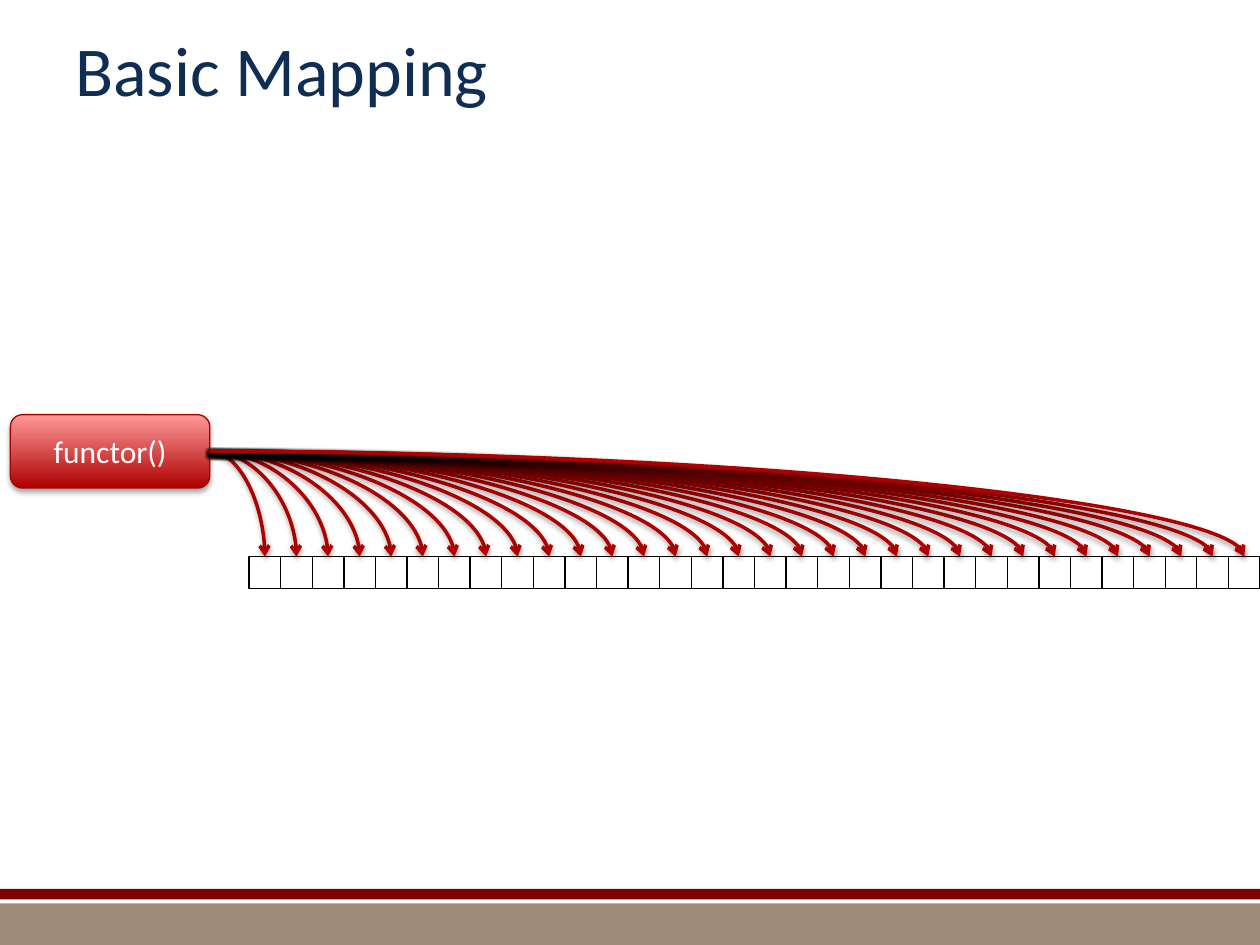
from lxml import etree
from pptx import Presentation
from pptx.dml.color import RGBColor
from pptx.enum.shapes import MSO_CONNECTOR, MSO_SHAPE
from pptx.enum.text import MSO_ANCHOR, PP_ALIGN
from pptx.oxml.ns import qn
from pptx.util import Cm, Pt

RECTANGLE = MSO_SHAPE.RECTANGLE
ROUNDED = MSO_SHAPE.ROUNDED_RECTANGLE
CURVE = MSO_CONNECTOR.CURVE
MIDDLE = MSO_ANCHOR.MIDDLE
CENTER = PP_ALIGN.CENTER
TOP_SIDE, RIGHT_SIDE = 0, 3

COLORS = {name: RGBColor.from_string(value) for name, value in {
    "tan": "9E8C78", "maroon": "800000", "navy": "102E54",
    "gradient_bottom": "AE0000", "gradient_top": "FF9999",
    "outline": "AA0000", "arrow": "AD0101",
    "black": "000000", "white": "FFFFFF",
}.items()}
FONT = "Calibri"
SLIDE_WIDTH, SLIDE_HEIGHT = 25.4, 19.05
CELL_COUNT = 32
ROW_LEFT, ROW_TOP, CELL_SIZE = 5.02, 11.22, 0.64
CELL_STEP = (SLIDE_WIDTH - ROW_LEFT) / CELL_COUNT


def add_drop_shadow(shape, distance, opacity):
    """Cast a black shadow straight down; call after the line is set."""
    properties = shape.element.spPr
    effects = properties.find(qn("a:effectLst"))
    if effects is None:
        effects = etree.SubElement(properties, qn("a:effectLst"))
    shadow = etree.SubElement(
        effects, qn("a:outerShdw"), blurRad=str(Pt(3.1)), dist=str(Pt(distance)),
        dir="5400000", rotWithShape="0")
    color = etree.SubElement(shadow, qn("a:srgbClr"), val=str(COLORS["black"]))
    etree.SubElement(color, qn("a:alpha"), val=str(opacity * 1000))


def write_text(shape, text, size, color):
    frame = shape.text_frame
    frame.word_wrap = True
    frame.vertical_anchor = MIDDLE
    paragraph = frame.paragraphs[0]
    paragraph.text = text
    paragraph.font.name = FONT
    paragraph.font.size = Pt(size)
    paragraph.font.color.rgb = COLORS[color]
    return paragraph


presentation = Presentation()
presentation.slide_width = Cm(SLIDE_WIDTH)
presentation.slide_height = Cm(SLIDE_HEIGHT)
slide = presentation.slides.add_slide(presentation.slide_layouts[6])

# Footer bands
for top, height, color in ((18.21, 0.84, "tan"), (17.92, 0.21, "maroon")):
    band = slide.shapes.add_shape(
        RECTANGLE, 0, Cm(top), Cm(SLIDE_WIDTH), Cm(height))
    band.shadow.inherit = False
    band.fill.solid()
    band.fill.fore_color.rgb = COLORS[color]
    band.line.fill.background()

title = slide.shapes.add_textbox(Cm(1.27), 0, Cm(22.86), Cm(2.75))
write_text(title, "Basic Mapping", 40, "navy")

functor = slide.shapes.add_shape(ROUNDED, Cm(0.21), Cm(8.36), Cm(4.02), Cm(1.48))
functor.fill.gradient()
functor.fill.gradient_angle = 90
for stop, color in zip(functor.fill.gradient_stops, ("gradient_bottom", "gradient_top")):
    stop.color.rgb = COLORS[color]
functor.line.color.rgb = COLORS["outline"]
functor.line.width = Pt(0.75)
functor.shadow.inherit = False
add_drop_shadow(functor, 1.8, 35)
write_text(functor, "functor()", 18, "white").alignment = CENTER

# Row of array cells
row = slide.shapes.add_group_shape()
cells = []
for index in range(CELL_COUNT):
    cell = row.shapes.add_shape(
        RECTANGLE, Cm(ROW_LEFT + index * CELL_STEP), Cm(ROW_TOP),
        Cm(CELL_SIZE), Cm(CELL_SIZE))
    cell.shadow.inherit = False
    cell.fill.background()
    cell.line.color.rgb = COLORS["black"]
    cell.line.width = Pt(0.75)
    cells.append(cell)

# One curved arrow from the functor to each cell
for cell in cells:
    arrow = slide.shapes.add_connector(CURVE, 0, 0, 0, 0)
    arrow.begin_connect(functor, RIGHT_SIDE)
    arrow.end_connect(cell, TOP_SIDE)
    properties = arrow.element.spPr
    properties.find(qn("a:prstGeom")).set("prst", "curvedConnector2")
    arrow.line.color.rgb = COLORS["arrow"]
    arrow.line.width = Pt(2)
    etree.SubElement(properties.find(qn("a:ln")), qn("a:tailEnd"), type="arrow")
    add_drop_shadow(arrow, 1.6, 38)

presentation.save("out.pptx")
